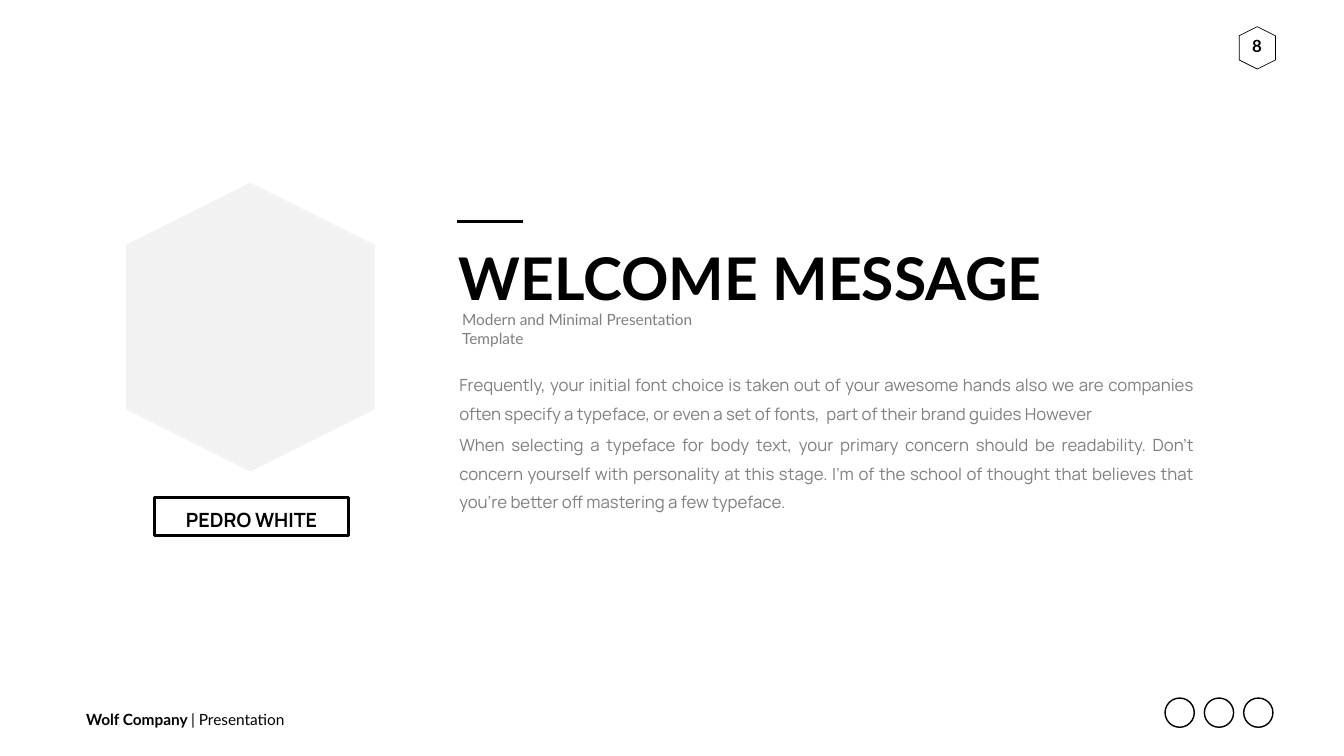
from pptx import Presentation
from pptx.dml.color import RGBColor
from pptx.enum.shapes import MSO_CONNECTOR, MSO_SHAPE
from pptx.enum.text import MSO_ANCHOR, PP_ALIGN
from pptx.oxml.ns import qn
from pptx.util import Emu, Pt
from lxml.etree import SubElement

BLACK, GREY, PALE = "000000", "7F7F7F", "F2F2F2"
BODY = [
    "Frequently, your initial font choice is taken out of your awesome hands also we are companies often specify a typeface, or even a set of fonts,  part of their brand guides However",
    "When selecting a typeface for body text, your primary concern should be readability. Don’t concern yourself with personality at this stage. I’m of the school of thought that believes that you’re better off mastering a few typeface.",
]


def px(n):
    return Emu(n * 9144)


def color(code):
    return RGBColor.from_string(code)


def add_shape(slide, kind, box, fill=None, line=None, width=1, turn=0):
    shape = slide.shapes.add_shape(kind, *map(px, box))
    shape.shadow.inherit = False
    shape.rotation = turn
    if fill:
        shape.fill.solid()
        shape.fill.fore_color.rgb = color(fill)
    else:
        shape.fill.background()
    if line:
        shape.line.color.rgb = color(line)
        shape.line.width = Pt(width)
    else:
        shape.line.fill.background()
    return shape


def add_text(slide, box, lines, size, face="Lato", ink=BLACK, bold=False,
             align=PP_ALIGN.LEFT, anchor=MSO_ANCHOR.MIDDLE):
    frame = slide.shapes.add_textbox(*map(px, box)).text_frame
    frame.word_wrap = True
    frame.vertical_anchor = anchor
    frame.text = "\n".join(lines)
    for para in frame.paragraphs:
        para.alignment = align
        for run in para.runs:
            run.font.name = face
            run.font.size = Pt(size)
            run.font.bold = bold
            run.font.color.rgb = color(ink)
    return frame


def add_rule(slide, x, y, length):
    rule = slide.shapes.add_connector(
        MSO_CONNECTOR.STRAIGHT, px(x), px(y), px(x + length), px(y))
    rule.line.color.rgb = color(BLACK)
    rule.line.width = Pt(4.5)
    SubElement(rule._element.spPr, qn("a:effectLst"))


def add_badge(slide, x, y):
    add_shape(slide, MSO_SHAPE.HEXAGON, (x, y, 84, 72), line=BLACK, turn=90)
    add_text(slide, (x - 6, y + 6, 95, 61), ["8"], 24, bold=True,
             align=PP_ALIGN.CENTER, anchor=MSO_ANCHOR.TOP)


def add_footer(slide, x, y):
    frame = add_text(slide, (x, y, 430, 47), ["Wolf Company "], 22, bold=True)
    first = frame.paragraphs[0].runs[0]
    tail = frame.paragraphs[0].add_run()
    tail.text = "| Presentation"
    tail.font.name = first.font.name
    tail.font.size = first.font.size
    tail.font.bold = False
    tail.font.color.rgb = color(BLACK)


def add_social(slide, x, y):
    for i in range(3):
        add_shape(slide, MSO_SHAPE.OVAL, (x + i * 78, y, 58, 58),
                  line=BLACK, width=2)


def add_profile(slide, x, y):
    add_shape(slide, MSO_SHAPE.HEXAGON, (x, y, 573, 494), fill=PALE, turn=90)
    add_shape(slide, MSO_SHAPE.RECTANGLE, (x + 97, y + 585, 384, 76),
              line=BLACK, width=4.5)
    add_text(slide, (x + 139, y + 601, 300, 57), ["PEDRO WHITE"], 28,
             "Manrope", bold=True, align=PP_ALIGN.CENTER)


def add_message(slide, x, y):
    add_rule(slide, x + 20, y, 130)
    add_text(slide, (x + 13, y + 36, 1200, 151), ["WELCOME MESSAGE"], 84,
             bold=True, anchor=MSO_ANCHOR.TOP)
    add_text(slide, (x + 20, y + 190, 596, 47),
             ["Modern and Minimal Presentation Template"], 22, ink=GREY)
    frame = add_text(slide, (x, y + 277, 1505, 369), BODY, 24, "Manrope",
                     GREY, align=PP_ALIGN.JUSTIFY, anchor=MSO_ANCHOR.TOP)
    frame.margin_left = frame.margin_right = px(24)
    frame.margin_top = frame.margin_bottom = px(12)
    for para in frame.paragraphs:
        para.line_spacing = Pt(40.4)
    frame.paragraphs[1].space_before = Pt(5)


def main():
    deck = Presentation()
    deck.slide_width, deck.slide_height = px(2666), px(1500)
    slide = deck.slides.add_slide(deck.slide_layouts[6])
    add_footer(slide, 161, 1403)
    add_badge(slide, 2452, 59)
    add_social(slide, 2311, 1385)
    add_profile(slide, 210, 402)
    add_message(slide, 887, 439)
    deck.save("out.pptx")


if __name__ == "__main__":
    main()
